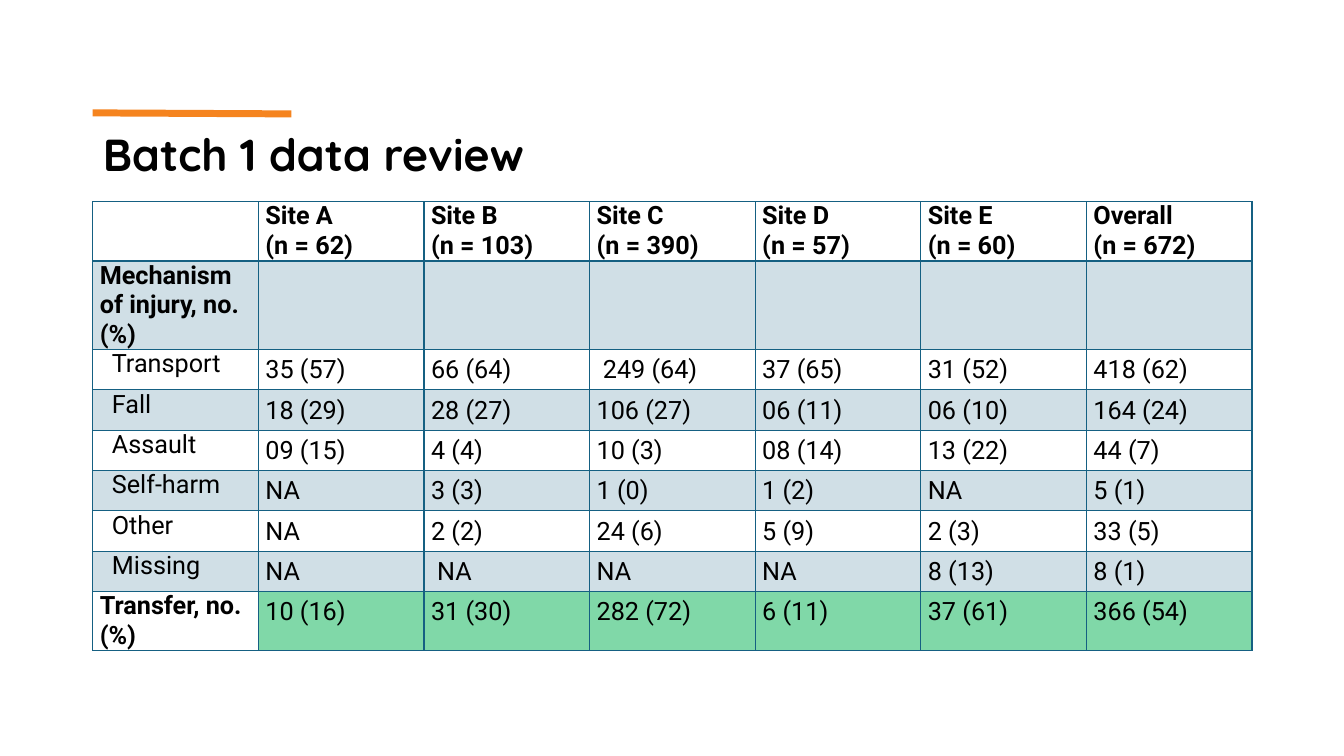
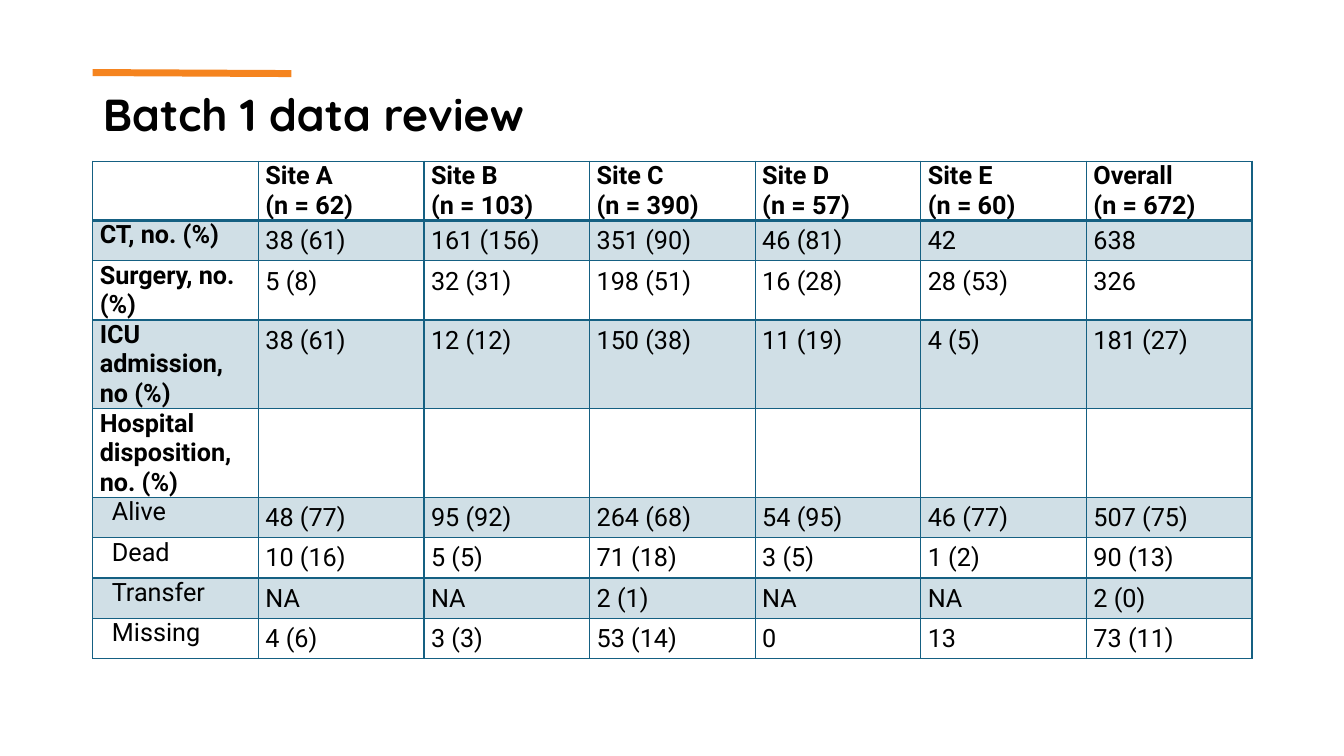
from lxml import etree
from pptx import Presentation
from pptx.dml.color import RGBColor
from pptx.enum.shapes import MSO_CONNECTOR
from pptx.enum.text import MSO_ANCHOR, MSO_AUTO_SIZE, PP_ALIGN
from pptx.oxml.ns import qn
from pptx.util import Inches, Pt

STRAIGHT = MSO_CONNECTOR.STRAIGHT
BOTTOM, TOP = MSO_ANCHOR.BOTTOM, MSO_ANCHOR.TOP
LEFT = PP_ALIGN.LEFT
NO_AUTOFIT = MSO_AUTO_SIZE.NONE

# Shared look
SLIDE_W, SLIDE_H = 13.33, 7.5
MARGIN, CONTENT_W = 0.92, 11.5
TITLE_FONT, TABLE_FONT = "Quicksand", "Roboto"
BLACK, WHITE, ORANGE = "000000", "FFFFFF", "F5841F"
GRID_BLUE, BAND_BLUE, HIGHLIGHT_GREEN = "156082", "D0DFE6", "80D8A8"
ROW_H, LABEL_INDENT = 0.4, 0.12

# Content
TITLE = "Batch 1 data review"
HEADER = ["", "Site A\n(n = 62)", "Site B\n(n = 103)", "Site C\n(n = 390)",
          "Site D\n(n = 57)", "Site E\n(n = 60)", "Overall\n(n = 672)"]
HIGHLIGHTED = "Transfer, no. (%)"
INJURY_ROWS = [
    ["Mechanism of injury, no. (%)"] + [""] * 6,
    ["Transport", "35 (57)", "66 (64)", " 249 (64)", "37 (65)", "31 (52)", "418 (62)"],
    ["Fall", "18 (29)", "28 (27)", "106 (27)", "06 (11)", "06 (10)", "164 (24)"],
    ["Assault", "09 (15)", "4 (4)", "10 (3)", "08 (14)", "13 (22)", "44 (7)"],
    ["Self-harm", "NA", "3 (3)", "1 (0)", "1 (2)", "NA", "5 (1)"],
    ["Other", "NA", "2 (2)", "24 (6)", "5 (9)", "2 (3)", "33 (5)"],
    ["Missing", "NA", " NA", "NA", "NA", "8 (13)", "8 (1)"],
    [HIGHLIGHTED, "10 (16)", "31 (30)", "282 (72)", "6 (11)", "37 (61)", "366 (54)"],
]
OUTCOME_ROWS = [
    ["CT, no. (%)", "38 (61)", "161 (156)", "351 (90)", "46 (81)", "42", "638"],
    ["Surgery, no. (%)", "5 (8)", "32 (31)", "198 (51)", "16 (28)", "28 (53)", "326"],
    ["ICU admission, no (%)", "38 (61)", "12 (12)", "150 (38)", "11 (19)", "4 (5)", "181 (27)"],
    ["Hospital disposition, no. (%)"] + [""] * 6,
    ["Alive", "48 (77)", "95 (92)", "264 (68)", "54 (95)", "46 (77)", "507 (75)"],
    ["Dead", "10 (16)", "5 (5)", "71 (18)", "3 (5)", "1 (2)", "90 (13)"],
    ["Transfer", "NA", "NA", "2 (1)", "NA", "NA", "2 (0)"],
    ["Missing", "4 (6)", "3 (3)", "53 (14)", "0", "13", "73 (11)"],
]


def paint(color_format, hex_color):
    color_format.rgb = RGBColor.from_string(hex_color)


def write(frame, text, font=TABLE_FONT, size=18, bold=False, color=BLACK,
          spacing=None, after=None, indent=0):
    """Write each line of text as one formatted paragraph."""
    for number, line in enumerate(text.split("\n")):
        paragraph = frame.add_paragraph() if number else frame.paragraphs[0]
        paragraph.alignment = LEFT
        if spacing:
            paragraph.line_spacing = spacing
        if after:
            paragraph.space_after = Pt(after)
        if indent:
            paragraph._p.get_or_add_pPr().set("marL", str(Inches(indent)))
        run = paragraph.add_run()
        run.text = line
        run.font.name, run.font.size, run.font.bold = font, Pt(size), bold
        paint(run.font.color, color)


def set_borders(cell, **widths):
    """Draw the four cell borders; widths overrides the 1 pt default."""
    properties = cell._tc.get_or_add_tcPr()
    for side in "LRTB":
        line = etree.SubElement(properties, qn(f"a:ln{side}"),
                                w=str(Pt(widths.get(side, 1))))
        fill = etree.SubElement(line, qn("a:solidFill"))
        etree.SubElement(fill, qn("a:srgbClr"), val=GRID_BLUE)


def add_heading(slide, left, top):
    """Title with the orange accent line above its text."""
    title = slide.shapes.title
    title.left, title.top = Inches(left), Inches(top)
    title.width, title.height = Inches(5.75), Inches(1.45)
    frame = title.text_frame
    frame.vertical_anchor, frame.auto_size = BOTTOM, NO_AUTOFIT
    write(frame, TITLE, font=TITLE_FONT, size=32, bold=True, spacing=0.9)

    accent = slide.shapes.add_connector(
        STRAIGHT, Inches(left), Inches(top + 0.72),
        Inches(left + 1.97), Inches(top + 0.73))
    paint(accent.line.color, ORANGE)
    accent.line.width = Pt(5)
    etree.SubElement(accent._element.spPr, qn("a:effectLst"))


def text_format(row, column, label):
    """Headings are bold, sub-categories indented, figures spaced."""
    if row == 0:
        return {"bold": True}
    if column:
        return {"spacing": 1.2, "after": 8}
    return {"bold": True} if "(%)" in label else {"indent": LABEL_INDENT}


def cell_color(row, column, label):
    if label == HIGHLIGHTED and column:
        return HIGHLIGHT_GREEN
    return BAND_BLUE if row % 2 else WHITE


def add_review_table(slide, left, top, width, rows):
    """Bordered table with banded rows below a white header."""
    rows = [HEADER] + rows
    table = slide.shapes.add_table(
        len(rows), len(HEADER), Inches(left), Inches(top),
        Inches(width), Inches(ROW_H * len(rows))).table
    table.first_row = table.horz_banding = False
    for r, values in enumerate(rows):
        for c, value in enumerate(values):
            cell = table.cell(r, c)
            set_borders(cell, T=2 if r == 1 else 1, B=2 if r == 0 else 1)
            cell.fill.solid()
            paint(cell.fill.fore_color, cell_color(r, c, values[0]))
            cell.vertical_anchor = TOP
            if value:
                cell.margin_left = cell.margin_right = Inches(0.07)
                cell.margin_top = cell.margin_bottom = 0
                write(cell.text_frame, value, **text_format(r, c, values[0]))


def add_review_slide(deck, top, rows):
    slide = deck.slides.add_slide(deck.slide_layouts[5])
    add_heading(slide, MARGIN, top)
    add_review_table(slide, MARGIN, top + 1.6, CONTENT_W, rows)


def main():
    deck = Presentation()
    deck.slide_width, deck.slide_height = Inches(SLIDE_W), Inches(SLIDE_H)
    add_review_slide(deck, 0.4, INJURY_ROWS)
    add_review_slide(deck, 0, OUTCOME_ROWS)
    deck.save("out.pptx")


if __name__ == "__main__":
    main()
